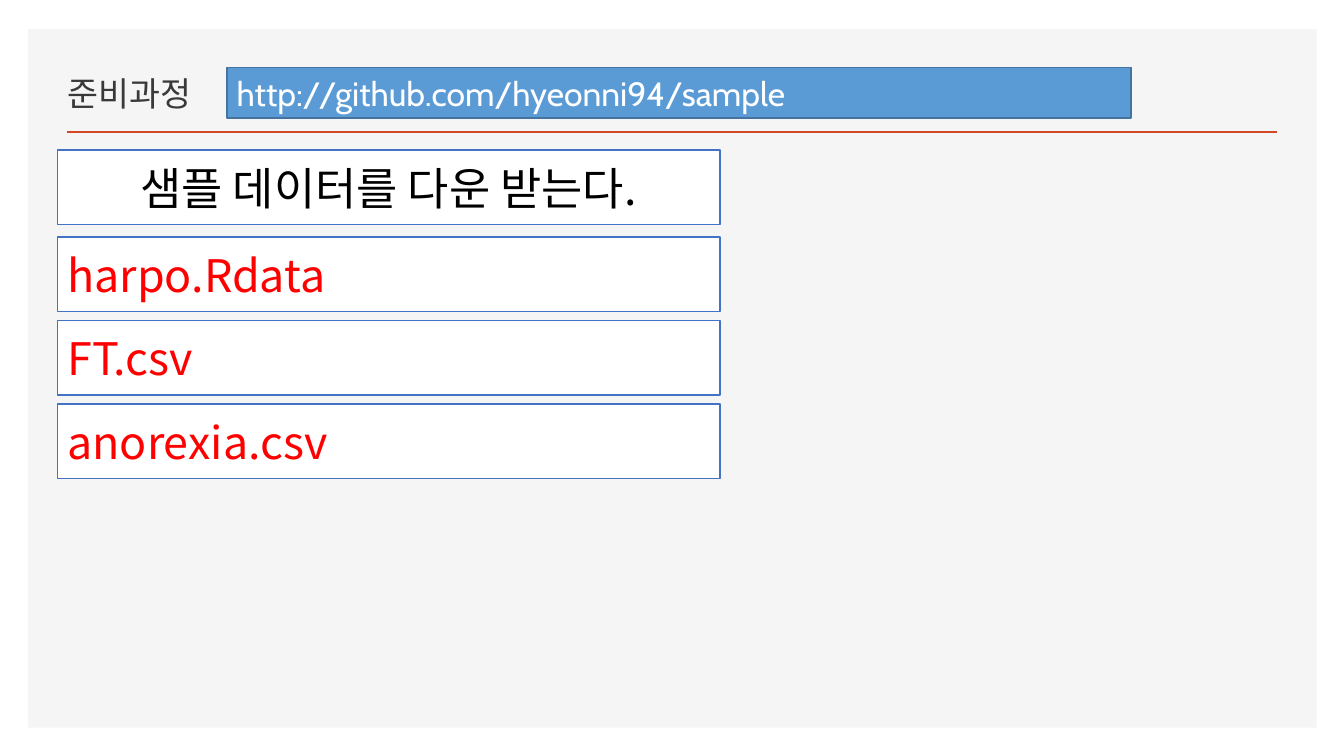
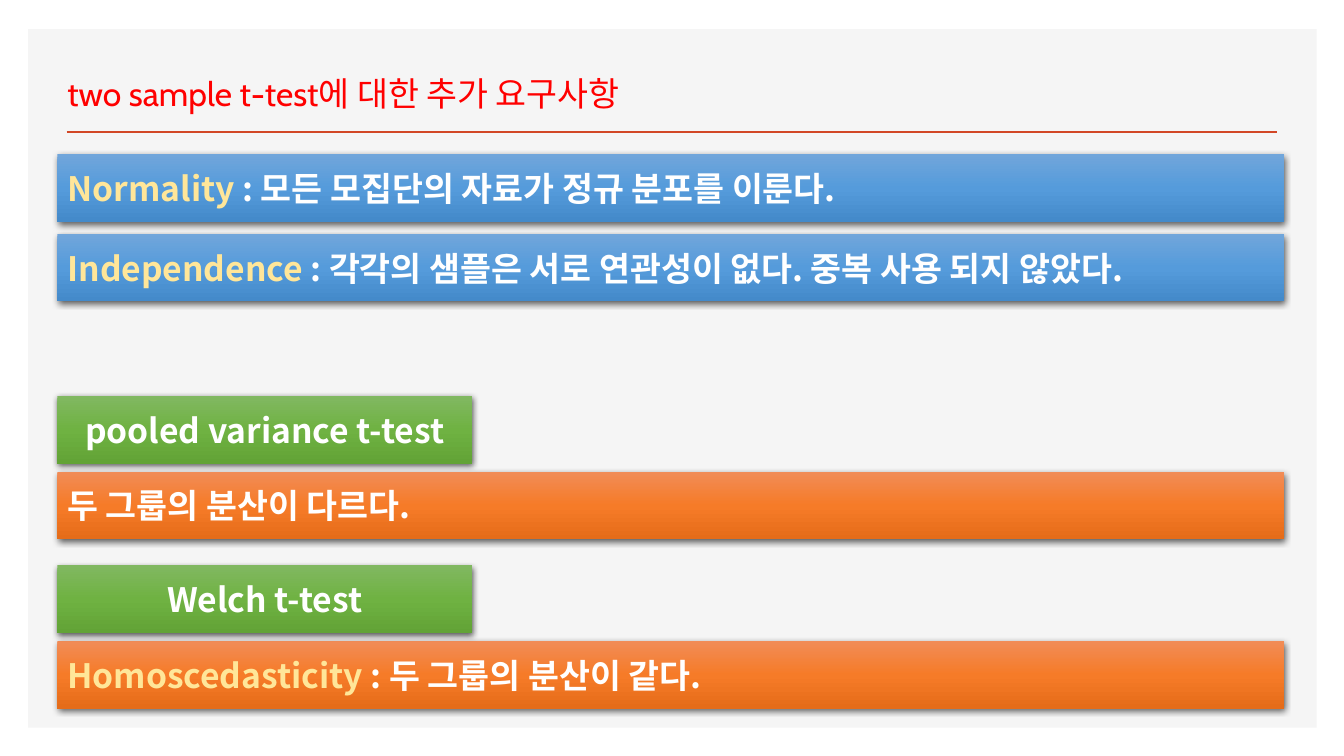
from lxml.etree import SubElement
from pptx import Presentation
from pptx.dml.color import RGBColor
from pptx.enum.shapes import MSO_CONNECTOR, MSO_SHAPE
from pptx.enum.text import MSO_ANCHOR, PP_ALIGN
from pptx.oxml.ns import qn
from pptx.util import Inches, Pt

COLORS = {
    "panel": "F5F5F5", "rule": "D24726", "title": "3B3838",
    "white": "FFFFFF", "black": "000000", "red": "FF0000",
    "edge": "4472C4", "link": "5B9BD5", "link edge": "43739E",
    "term": "FFE699",
}
BLENDS = {
    "blue": ("71A6DB", "559BDB", "448ACA"),
    "green": ("81B861", "6FB242", "62A336"),
    "orange": ("F18C57", "F67B28", "E56C19"),
}
HEAD, BODY = "Cabin", "Noto Sans CJK KR"
LEFT, WIDE = 0.57, 12.17


def color(name):
    return RGBColor.from_string(COLORS[name])


def node(parent, tag, **attrs):
    return SubElement(parent, qn(tag), {k: str(v) for k, v in attrs.items()})


class Deck:
    def __init__(self):
        self.prs = Presentation()
        self.prs.slide_width, self.prs.slide_height = Inches(13.33), Inches(7.5)
        self.slide = None

    def page(self, title, tint, width):
        """Start a slide with the shared panel, rule and title."""
        self.slide = self.prs.slides.add_slide(self.prs.slide_layouts[6])
        self.rect(0.28, 0.29, 12.78, 6.93, "panel")
        rule = self.slide.shapes.add_connector(
            MSO_CONNECTOR.STRAIGHT,
            Inches(0.66), Inches(1.31), Inches(12.67), Inches(1.31))
        rule.line.color.rgb = color("rule")
        rule.line.width = Pt(2)
        node(rule._element.spPr, "a:effectLst")
        box = self.slide.shapes.add_textbox(
            Inches(LEFT), Inches(0.48), Inches(width), Inches(0.7))
        para = self.text(box, [(title, tint)], 24, HEAD, MSO_ANCHOR.BOTTOM)
        para.line_spacing = 0.9

    def rect(self, x, y, w, h, fill=None, edge=None):
        shape = self.slide.shapes.add_shape(
            MSO_SHAPE.RECTANGLE, Inches(x), Inches(y), Inches(w), Inches(h))
        shape.shadow.inherit = False
        if fill:
            shape.fill.solid()
            shape.fill.fore_color.rgb = color(fill)
        if edge:
            shape.line.color.rgb = color(edge)
            shape.line.width = Pt(1)
        else:
            shape.line.fill.background()
        return shape

    def text(self, shape, parts, size, face, anchor=MSO_ANCHOR.MIDDLE,
             align=PP_ALIGN.LEFT, bold=False):
        """Write (text, colour) parts as one paragraph; the last sets its colour."""
        frame = shape.text_frame
        frame.word_wrap = True
        frame.vertical_anchor = anchor
        para = frame.paragraphs[0]
        para.alignment = align
        font = para.font
        font.size, font.bold, font.name = Pt(size), bold, face
        base = parts[-1][1]
        font.color.rgb = color(base)
        node(para._p.pPr.find(qn("a:defRPr")), "a:ea", typeface=BODY)
        for words, tint in parts:
            run = para.add_run()
            run.text = words
            if tint != base:
                run.font.color.rgb = color(tint)
        return para

    def link(self, words):
        shape = self.rect(2.25, 0.67, 8.97, 0.5, "link", "link edge")
        self.text(shape, [(words, "white")], 24, HEAD, MSO_ANCHOR.TOP)

    def card(self, y, words, tint, align=PP_ALIGN.LEFT):
        shape = self.rect(LEFT, y, 6.57, 0.74, "white", "edge")
        self.text(shape, [(words, tint)], 32, BODY, align=align)

    def bar(self, y, blend, words, term="", width=WIDE, align=PP_ALIGN.LEFT):
        """Draw a shaded bar with a shadow and an optional leading term."""
        shape = self.rect(LEFT, y, width, 0.67)
        shape.fill.gradient()
        shape.fill.gradient_angle = 270
        props = shape._element.spPr
        stops = props.find(qn("a:gradFill")).find(qn("a:gsLst"))
        for stop in list(stops):
            stops.remove(stop)
        for i, shade in enumerate(BLENDS[blend]):
            node(node(stops, "a:gs", pos=i * 50000), "a:srgbClr", val=shade)
        shadow = node(props.find(qn("a:effectLst")), "a:outerShdw",
                      blurRad=Pt(4.5), dist=Pt(1.5), dir=5400000,
                      algn="ctr", rotWithShape=0)
        node(node(shadow, "a:srgbClr", val=COLORS["black"]), "a:alpha", val=63000)
        parts = [(term, "term")] if term else []
        self.text(shape, parts + [(words, "white")], 24, BODY,
                  align=align, bold=True)


def main():
    deck = Deck()

    deck.page("준비과정", "title", 4.85)
    deck.link("http://github.com/hyeonni94/sample")
    deck.card(1.49, "샘플 데이터를 다운 받는다.", "black", PP_ALIGN.CENTER)
    for i, name in enumerate(("harpo.Rdata", "FT.csv", "anorexia.csv")):
        deck.card(2.35 + i * 0.83, name, "red")

    deck.page("two sample t-test에 대한 추가 요구사항", "red", 8.93)
    deck.bar(1.53, "blue", " : 모든 모집단의 자료가 정규 분포를 이룬다.", "Normality")
    deck.bar(2.32, "blue",
             " : 각각의 샘플은 서로 연관성이 없다. 중복 사용 되지 않았다.",
             "Independence")
    tests = (
        ("pooled variance t-test", "두 그룹의 분산이 다르다.", ""),
        ("Welch t-test", " : 두 그룹의 분산이 같다.", "Homoscedasticity"),
    )
    for i, (test, words, term) in enumerate(tests):
        top = 3.93 + i * 1.68
        deck.bar(top + 0.75, "orange", words, term)
        deck.bar(top, "green", test, width=4.11, align=PP_ALIGN.CENTER)

    deck.prs.save("out.pptx")


if __name__ == "__main__":
    main()
